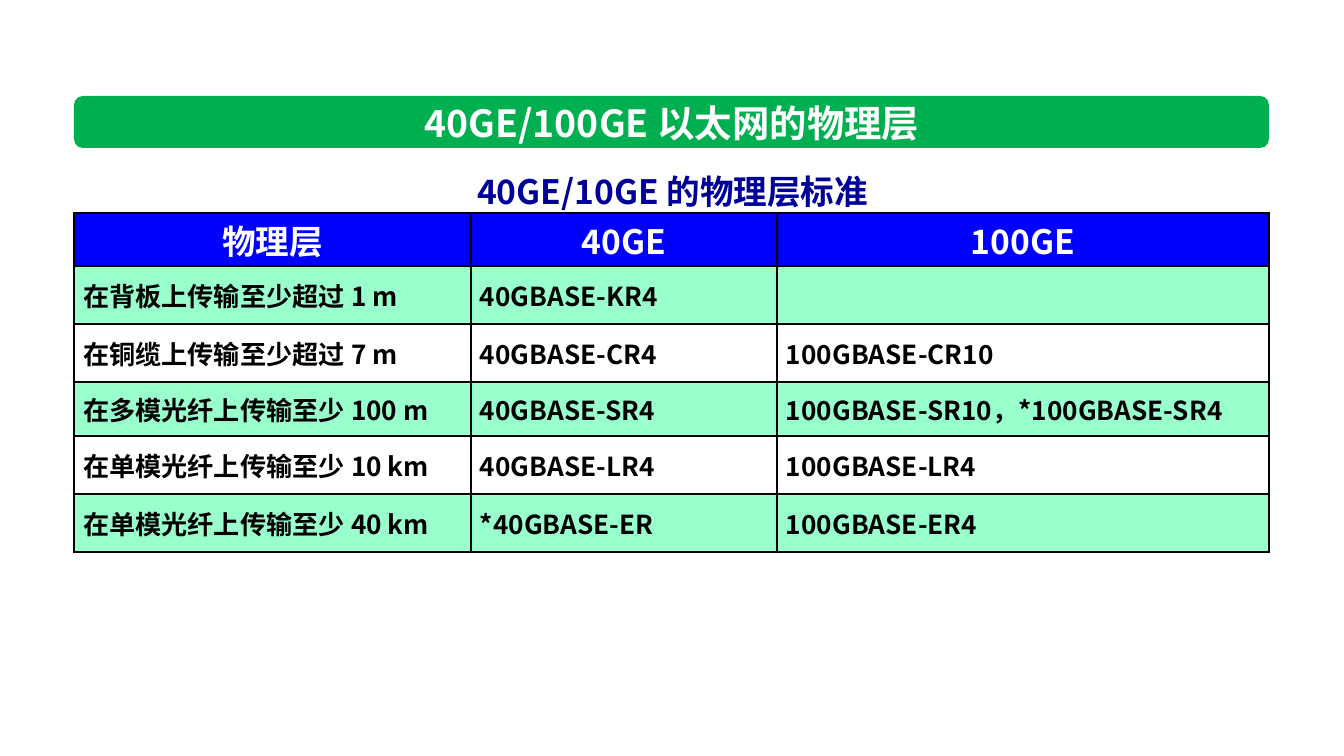
import lxml.etree
import pptx
import pptx.dml.color
import pptx.enum.shapes
import pptx.enum.text
import pptx.oxml
import pptx.oxml.ns
import pptx.util

PX = 914400 / 134.4
FONT = "Noto Sans CJK SC"
COLORS = {
    "bar": "00B050",
    "header": "0000FF",
    "band": "99FFCC",
    "caption": "000099",
    "white": "FFFFFF",
    "black": "000000",
}
ALIGN = pptx.enum.text.PP_ALIGN
MIDDLE = pptx.enum.text.MSO_ANCHOR.MIDDLE


def px(*lengths):
    """Turn pixel lengths into a list of EMU."""
    return [pptx.util.Emu(round(length * PX)) for length in lengths]


def write(frame, text, size, color, align):
    frame.text = text
    paragraph = frame.paragraphs[0]
    paragraph.alignment = align
    font = paragraph.font
    font.size = pptx.util.Pt(size)
    font.bold = True
    font.color.rgb = pptx.dml.color.RGBColor.from_string(COLORS[color])
    font.name = FONT
    defaults = paragraph._p.pPr.find(pptx.oxml.ns.qn("a:defRPr"))
    lxml.etree.SubElement(defaults, pptx.oxml.ns.qn("a:ea"), typeface=FONT)


prs = pptx.Presentation()
prs.slide_width, prs.slide_height = px(1344, 756)
slide = prs.slides.add_slide(prs.slide_layouts[5])

# Title on its green bar
bar = slide.shapes.add_shape(
    pptx.enum.shapes.MSO_SHAPE.ROUNDED_RECTANGLE, *px(74, 96, 1195, 52))
bar.adjustments[0] = 0.17
bar.shadow.inherit = False
bar.fill.solid()
bar.fill.fore_color.rgb = pptx.dml.color.RGBColor.from_string(COLORS["bar"])
bar.line.fill.background()

title = slide.shapes.title
title._element.addprevious(bar._element)
title.left, title.top, title.width, title.height = px(403, 93, 538, 59)
caption = slide.shapes.add_textbox(*px(457, 164, 431, 54))
for box, text, size, color in (
    (title, "40GE/100GE 以太网的物理层", 20, "white"),
    (caption, "40GE/10GE 的物理层标准", 18, "caption"),
):
    frame = box.text_frame
    write(frame, text, size, color, ALIGN.CENTER)
    frame.word_wrap = False
    frame.auto_size = pptx.enum.text.MSO_AUTO_SIZE.NONE
    frame.vertical_anchor = MIDDLE

# Table of physical layer standards
standards = [
    ("物理层", "40GE", "100GE"),
    ("在背板上传输至少超过 1 m", "40GBASE-KR4", ""),
    ("在铜缆上传输至少超过 7 m", "40GBASE-CR4", "100GBASE-CR10"),
    ("在多模光纤上传输至少 100 m", "40GBASE-SR4", "100GBASE-SR10，*100GBASE-SR4"),
    ("在单模光纤上传输至少 10 km", "40GBASE-LR4", "100GBASE-LR4"),
    ("在单模光纤上传输至少 40 km", "*40GBASE-ER", "100GBASE-ER4"),
]
column_widths = px(397, 306, 492)
row_heights = px(53, 58, 58, 54, 58, 58)
table = slide.shapes.add_table(
    len(row_heights), len(column_widths), *px(74, 213),
    sum(column_widths), sum(row_heights)).table
table.horz_banding = False
for column, width in zip(table.columns, column_widths):
    column.width = width

for r, (row, height, texts) in enumerate(zip(table.rows, row_heights, standards)):
    row.height = height
    for cell, text in zip(row.cells, texts):
        cell.margin_left, cell.margin_right = px(9, 9)
        cell.margin_top = cell.margin_bottom = 0
        cell.vertical_anchor = MIDDLE
        if r == 0:
            write(cell.text_frame, text, 18, "white", ALIGN.CENTER)
        else:
            write(cell.text_frame, text, 14, "black", ALIGN.JUSTIFY)

        properties = cell._tc.get_or_add_tcPr()
        for side in ("lnL", "lnR", "lnT", "lnB"):
            properties.append(pptx.oxml.parse_xml(
                f'<a:{side} {pptx.oxml.ns.nsdecls("a")} w="{pptx.util.Pt(1)}">'
                f'<a:solidFill><a:srgbClr val="{COLORS["black"]}"/></a:solidFill>'
                f'</a:{side}>'))
        if r > 0 and r % 2 == 0:
            cell.fill.background()
        else:
            cell.fill.solid()
            cell.fill.fore_color.rgb = pptx.dml.color.RGBColor.from_string(
                COLORS["band" if r else "header"])

prs.save("out.pptx")
